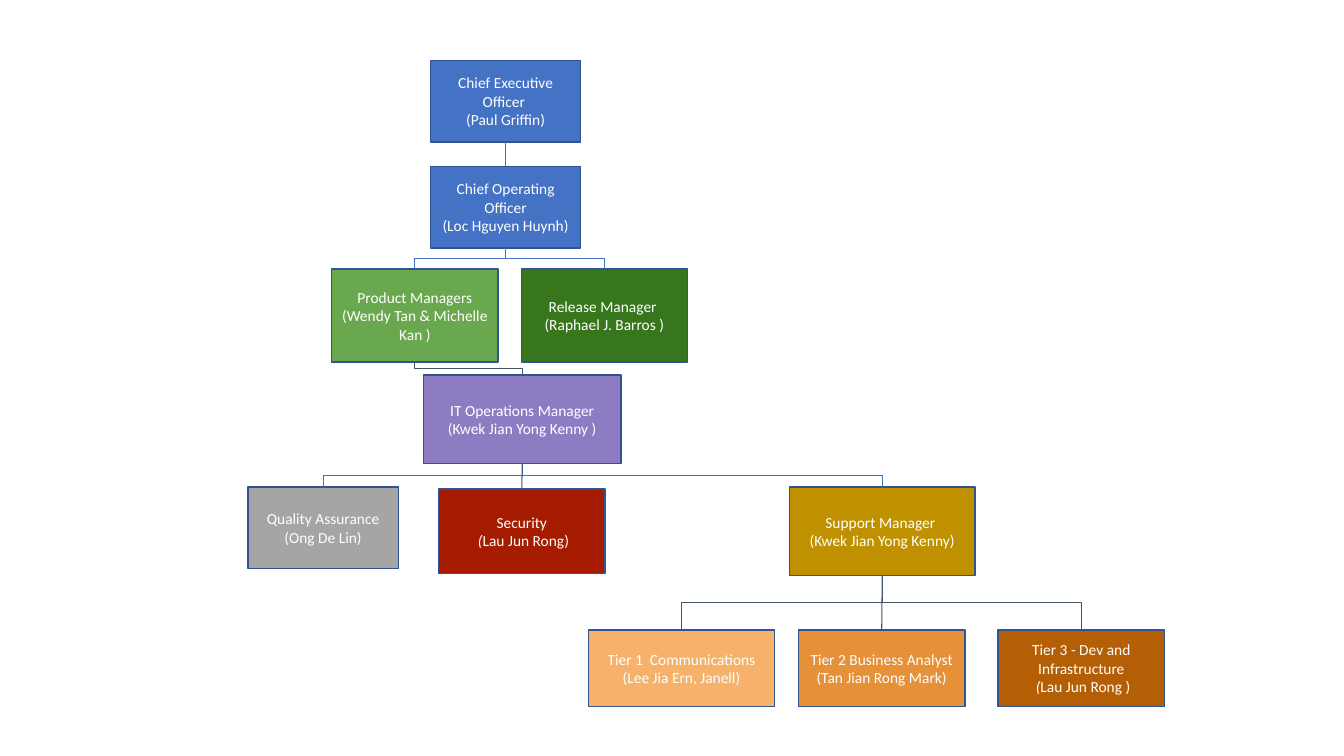
"""Build a one-slide organisation chart."""
from dataclasses import dataclass

from lxml.etree import SubElement
from pptx import Presentation
from pptx.dml.color import RGBColor
from pptx.enum.shapes import MSO_CONNECTOR as Link, MSO_SHAPE as Preset
from pptx.enum.text import MSO_ANCHOR as Anchor, PP_ALIGN as Align
from pptx.oxml.ns import qn
from pptx.util import Inches, Pt


@dataclass(frozen=True)
class Theme:
    font: str = "Calibri"
    size: float = 11
    text: str = "FFFFFF"
    border: str = "31538F"
    border_width: float = 1
    link_width: float = 0.75
    blue: str = "4472C4"
    slate: str = "44546A"
    light_green: str = "6AA84F"
    dark_green: str = "38761D"
    grey: str = "A5A5A5"
    purple: str = "8E7CC3"
    red: str = "A61C00"
    gold: str = "BF9000"
    pale_orange: str = "F6B26B"
    orange: str = "E69138"
    brown: str = "B45F06"


THEME = Theme()

ROLES = {
    "ceo": (4.27, 0.6, 1.49, 0.81, THEME.blue,
            [["Chief Executive Officer "], ["(Paul Griffin)"]]),
    "coo": (4.27, 1.65, 1.49, 0.81, THEME.blue,
            [["Chief Operating Officer"], ["(Loc Hguyen Huynh)"]]),
    "product": (3.29, 2.67, 1.65, 0.92, THEME.light_green,
                [["Product Managers (Wendy Tan & Michelle Kan )"]]),
    "release": (5.17, 2.67, 1.65, 0.92, THEME.dark_green,
                [["Release Manager "], ["(Raphael J. Barros )"]]),
    "quality": (2.46, 4.83, 1.49, 0.81, THEME.grey,
                [["Quality Assurance"], ["(Ong De Lin)"]]),
    "operations": (4.2, 3.72, 1.96, 0.88, THEME.purple,
                   [["IT Operations Manager"], ["(Kwek Jian Yong Kenny )"]]),
    "tier3": (9.9, 6.25, 1.65, 0.76, THEME.brown,
              [["Tier 3 - Dev and Infrastructure"], ["Lau Jun Rong )", " ("]]),
    "security": (4.35, 4.85, 1.65, 0.84, THEME.red,
                 [["Security"], ["Lau Jun Rong)", " ("]]),
    "support": (7.83, 4.83, 1.84, 0.88, THEME.gold,
                [["Support Manager "], ["(Kwek Jian Yong Kenny)"]]),
    "tier1": (5.84, 6.25, 1.84, 0.76, THEME.pale_orange,
              [["Tier 1  Communications (Lee Jia Ern, Janell)"]]),
    "tier2": (7.92, 6.25, 1.65, 0.76, THEME.orange,
              [["Tier 2 Business Analyst (Tan Jian Rong Mark)"]]),
}

REPORTS = [
    ("ceo", "coo", THEME.blue),
    ("coo", "product", THEME.blue),
    ("operations", "support", THEME.blue),
    ("coo", "release", THEME.blue),
    ("operations", "quality", THEME.blue),
    ("operations", "security", THEME.slate),
    ("product", "operations", THEME.slate),
    ("support", "tier3", THEME.slate),
    ("support", "tier1", THEME.slate),
    ("support", "tier2", THEME.slate),
]


def add_span(para, text, *, size=THEME.size, color=THEME.text, italic=None):
    """Append formatted text to a paragraph."""
    span = para.add_run()
    span.text = text
    span.font.name = THEME.font
    span.font.size = Pt(size)
    span.font.color.rgb = RGBColor.from_string(color)
    span.font.italic = italic


def add_role(page, left, top, width, height, fill, lines):
    """Draw one role box; a line may carry an italic lead-in."""
    box = page.shapes.add_shape(
        Preset.RECTANGLE, *map(Inches, (left, top, width, height)))
    box.shadow.inherit = False
    box.fill.solid()
    box.fill.fore_color.rgb = RGBColor.from_string(fill)
    box.line.color.rgb = RGBColor.from_string(THEME.border)
    box.line.width = Pt(THEME.border_width)
    frame = box.text_frame
    frame.word_wrap = True
    frame.vertical_anchor = Anchor.MIDDLE
    for index, (text, *lead) in enumerate(lines):
        para = frame.add_paragraph() if index else frame.paragraphs[0]
        para.alignment = Align.CENTER
        for part in lead:
            add_span(para, part, italic=True)
        add_span(para, text)
    return box


def add_report(page, boss, member, color):
    """Join the bottom of one box to the top of another."""
    start_x, start_y = boss.left + boss.width // 2, boss.top + boss.height
    end_x, end_y = member.left + member.width // 2, member.top
    across, down = end_x - start_x, end_y - start_y
    straight = abs(across) < Inches(0.02)
    link = page.shapes.add_connector(
        Link.STRAIGHT if straight else Link.ELBOW, start_x, start_y, end_x, end_y)
    link.begin_connect(boss, 2)
    link.end_connect(member, 0)
    link.line.color.rgb = RGBColor.from_string(color)
    link.line.width = Pt(THEME.link_width)
    properties = link._element.spPr
    SubElement(properties, qn("a:effectLst"))
    if not straight:
        link.left = (start_x + end_x - down) // 2
        link.top = (start_y + end_y - abs(across)) // 2
        link.width, link.height = down, abs(across)
        turn = properties.find(qn("a:xfrm"))
        turn.set("rot", str((270 if across > 0 else 90) * 60000))
        turn.set("flipH", "1" if across > 0 else "0")


def main():
    """Create and save the deck."""
    deck = Presentation()
    deck.slide_width, deck.slide_height = Inches(13.33), Inches(7.5)
    page = deck.slides.add_slide(deck.slide_layouts[6])
    boxes = {name: add_role(page, *role) for name, role in ROLES.items()}
    for boss, member, color in REPORTS:
        add_report(page, boxes[boss], boxes[member], color)
    deck.save("out.pptx")


if __name__ == "__main__":
    main()
